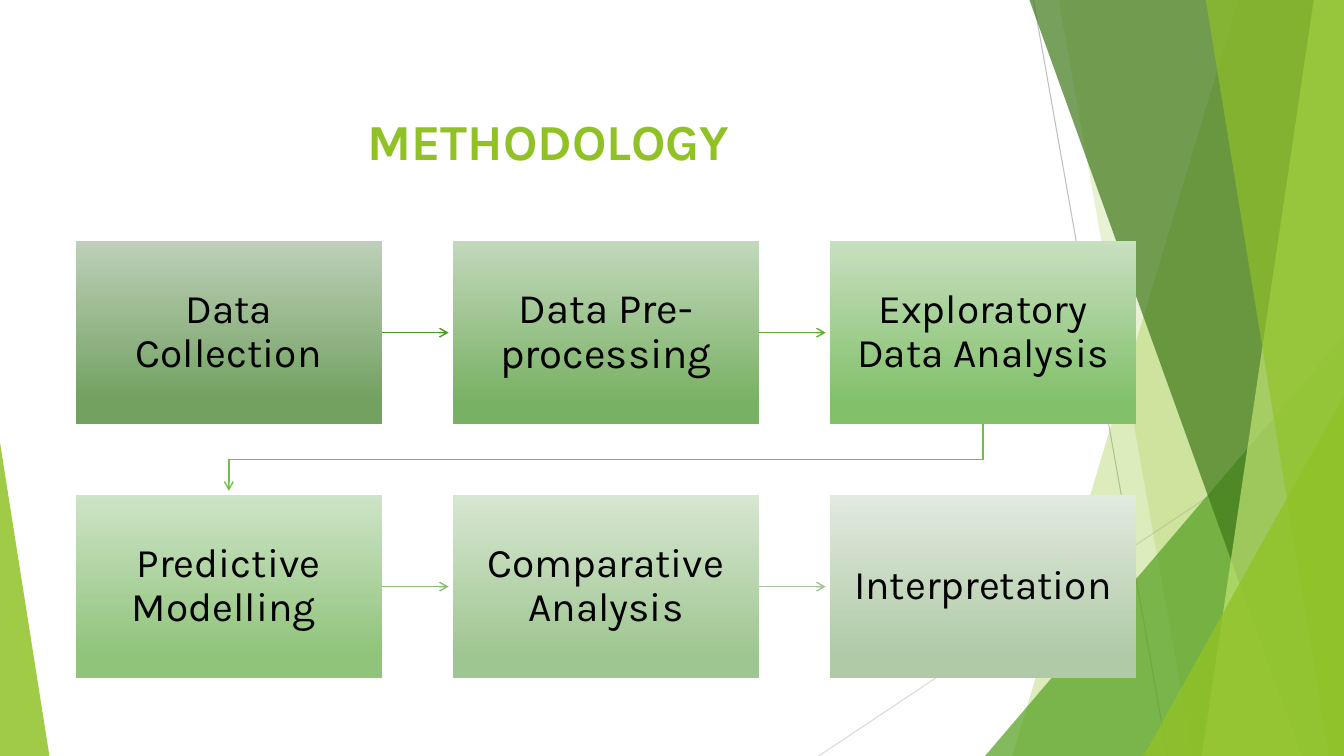
from lxml import etree
from pptx import Presentation
from pptx.dml.color import RGBColor
from pptx.enum.shapes import MSO_CONNECTOR, MSO_SHAPE
from pptx.enum.text import MSO_ANCHOR, PP_ALIGN
from pptx.oxml.ns import qn
from pptx.util import Inches, Pt

STRAIGHT = MSO_CONNECTOR.STRAIGHT
RECTANGLE = MSO_SHAPE.RECTANGLE
TRIANGLE = MSO_SHAPE.ISOSCELES_TRIANGLE
MIDDLE = MSO_ANCHOR.MIDDLE
CENTER = PP_ALIGN.CENTER

WIDTH, HEIGHT = 13.33, 7.5
FONT = "Karla"
COLORS = {
    "lime": "90C226",
    "pale lime": "C0E474",
    "green": "54A021",
    "forest": "3F7819",
    "gray": "BFBFBF",
    "light gray": "D9D9D9",
    "black": "000000",
}

BOX_LEFT, BOX_TOP = 0.75, 2.39
BOX_WIDTH, BOX_HEIGHT = 3.04, 1.82
COLUMN_STEP, ROW_STEP = 3.74, 2.52
COLUMNS = 3
ARROW_LENGTH = 0.66

STEPS = [
    ("Data Collection", 29, "BDCFB8", "72A160", "509920"),
    ("Data Pre-processing", 30, "C2D8BB", "79B164", "5FAF32"),
    ("Exploratory Data Analysis", 29, "C7E0C0", "82C06A", "71BD4D"),
    ("Predictive Modelling ", 29, "CEE3C7", "8FC47A", "8ABE74"),
    ("Comparative Analysis", 29, "D7E6D2", "9EC690", "A3C398"),
    ("Interpretation", 29, "E1EADE", "B0CAA7", None),
]


class SlideBuilder:
    def __init__(self, page):
        self.shapes = page.shapes

    def color(self, name):
        return RGBColor.from_string(COLORS.get(name, name))

    def paint(self, shape, color, opacity):
        shape.shadow.inherit = False
        shape.line.fill.background()
        shape.fill.solid()
        shape.fill.fore_color.rgb = self.color(color)
        solid = shape._element.spPr.find(qn("a:solidFill"))
        etree.SubElement(solid[0], qn("a:alpha"), val=str(opacity * 1000))

    def outline(self, shape, color, weight, arrow=False):
        shape.line.color.rgb = self.color(color)
        shape.line.width = Pt(weight)
        if arrow:
            line = shape._element.spPr.find(qn("a:ln"))
            etree.SubElement(line, qn("a:tailEnd"), type="arrow")

    def line(self, start, end, color, weight, arrow=False):
        ends = [Inches(value) for value in (*start, *end)]
        connector = self.shapes.add_connector(STRAIGHT, *ends)
        self.outline(connector, color, weight, arrow)
        etree.SubElement(connector._element.spPr, qn("a:effectLst"))

    def freeform(self, points, close):
        corners = [(Inches(x), Inches(y)) for x, y in points]
        builder = self.shapes.build_freeform(*corners[0])
        builder.add_line_segments(corners[1:], close=close)
        return builder.convert_to_shape()

    def polygon(self, points, color, opacity):
        self.paint(self.freeform(points, True), color, opacity)

    def bent_arrow(self, points, color):
        shape = self.freeform(points, False)
        shape.shadow.inherit = False
        shape.fill.background()
        self.outline(shape, color, 1, True)

    def triangle(self, left, top, width, peak, color, opacity):
        shape = self.shapes.add_shape(
            TRIANGLE, Inches(left), Inches(top), Inches(width), Inches(HEIGHT - top))
        shape.adjustments[0] = peak
        self.paint(shape, color, opacity)

    def set_text(self, shape, text, size, color, bold=False):
        frame = shape.text_frame
        frame.text = text
        frame.word_wrap = True
        frame.vertical_anchor = MIDDLE
        para = frame.paragraphs[0]
        para.alignment = CENTER
        font = para.runs[0].font
        font.name = FONT
        font.size = Pt(size)
        font.bold = bold
        font.color.rgb = self.color(color)
        return frame

    def title(self, text, left, top, width, height):
        box = self.shapes.add_textbox(
            Inches(left), Inches(top), Inches(width), Inches(height))
        self.set_text(box, text, 36, "lime", True)

    def step_box(self, left, top, text, size, light, dark):
        box = self.shapes.add_shape(
            RECTANGLE, Inches(left), Inches(top), Inches(BOX_WIDTH), Inches(BOX_HEIGHT))
        box.shadow.inherit = False
        box.line.fill.background()
        box.fill.gradient()
        box.fill.gradient_angle = 270
        for stop, position, color in zip(box.fill.gradient_stops, (0, 0.88), (light, dark)):
            stop.position = position
            stop.color.rgb = self.color(color)
        frame = self.set_text(box, text, size, "black")
        frame.paragraphs[0].line_spacing = 0.9
        frame.margin_left = frame.margin_right = Inches(0.23)
        frame.margin_top = frame.margin_bottom = Inches(0.23)


def draw_backdrop(slide):
    def band(top_left, bottom_left, color, opacity):
        slide.polygon(
            [(top_left, 0), (WIDTH, 0), (WIDTH, HEIGHT), (bottom_left, HEIGHT)],
            color, opacity)

    slide.line((10.25, 0), (11.58, HEIGHT), "gray", 0.75)
    slide.line((WIDTH, 4.03), (8.12, HEIGHT), "light gray", 0.75)
    band(12.28, 10.04, "lime", 30)
    band(10.5, 11.83, "lime", 20)
    slide.triangle(9.77, 3.33, 3.56, 1, "green", 72)
    band(10.21, 12.91, "forest", 70)
    band(13.03, 11.92, "pale lime", 70)
    band(11.96, 13.18, "lime", 65)
    slide.triangle(11.34, 3.93, 1.99, 1, "lime", 80)
    slide.triangle(0, 4.39, 0.49, 0, "lime", 85)


def draw_steps(slide):
    for index, (text, size, light, dark, arrow) in enumerate(STEPS):
        row, column = divmod(index, COLUMNS)
        left = BOX_LEFT + column * COLUMN_STEP
        top = BOX_TOP + row * ROW_STEP
        right, bottom = left + BOX_WIDTH, top + BOX_HEIGHT
        slide.step_box(left, top, text, size, light, dark)
        if column < COLUMNS - 1:
            middle = top + BOX_HEIGHT / 2
            slide.line((right, middle), (right + ARROW_LENGTH, middle), arrow, 1, True)
        elif arrow:
            start = left + BOX_WIDTH / 2
            end = BOX_LEFT + BOX_WIDTH / 2
            turn = bottom + 0.35
            slide.bent_arrow(
                [(start, bottom), (start, turn), (end, turn), (end, bottom + ARROW_LENGTH)],
                arrow)


def main():
    deck = Presentation()
    deck.slide_width = Inches(WIDTH)
    deck.slide_height = Inches(HEIGHT)
    slide = SlideBuilder(deck.slides.add_slide(deck.slide_layouts[6]))
    draw_backdrop(slide)
    slide.title("METHODOLOGY", 0.74, 0.67, 9.4, 1.44)
    draw_steps(slide)
    deck.save("out.pptx")


if __name__ == "__main__":
    main()
